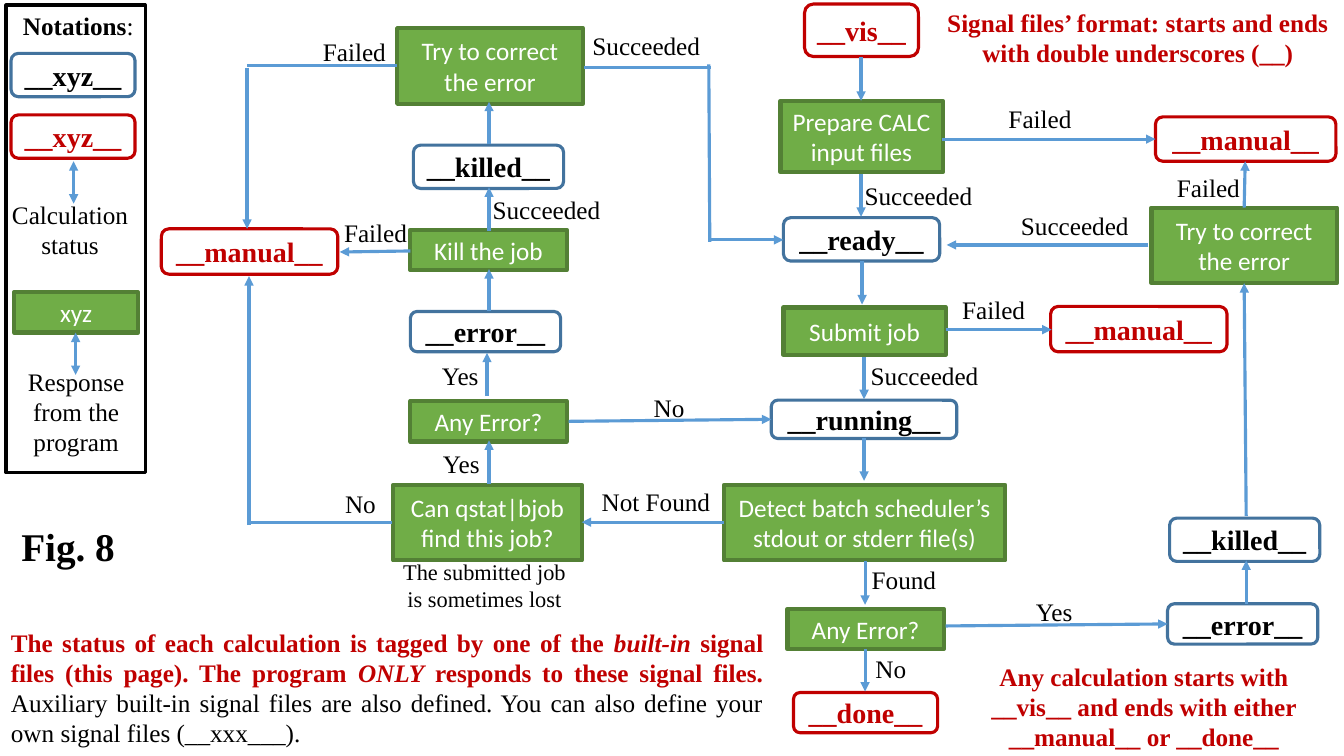
from pptx import Presentation
from pptx.dml.color import RGBColor
from pptx.enum.shapes import MSO_CONNECTOR, MSO_SHAPE
from pptx.enum.text import MSO_ANCHOR, MSO_AUTO_SIZE, PP_ALIGN
from pptx.oxml.ns import qn
from pptx.util import Inches, Pt
from lxml import etree

RECT, ROUND = MSO_SHAPE.RECTANGLE, MSO_SHAPE.ROUNDED_RECTANGLE
STRAIGHT = MSO_CONNECTOR.STRAIGHT
TOP, MIDDLE = MSO_ANCHOR.TOP, MSO_ANCHOR.MIDDLE
GROW = MSO_AUTO_SIZE.SHAPE_TO_FIT_TEXT
CENTER, JUSTIFY = PP_ALIGN.CENTER, PP_ALIGN.JUSTIFY

SERIF, SANS = "Times New Roman", "Calibri"
THEME = {
    "black": "000000", "white": "FFFFFF", "red": "C00000", "blue": "43739E",
    "green": "70AD47", "dark": "538035", "arrow": "5B9BD5",
    "note": 16, "body": 18, "tag": 20, "title": 28, "thin": 2.25, "thick": 3,
}
KINDS = {
    "state": (ROUND, "white", "blue", "thin", "black", "tag", SERIF, True),
    "end": (ROUND, "white", "red", "thin", "red", "tag", SERIF, True),
    "step": (RECT, "green", "dark", "thick", "white", "body", SANS, False),
}

deck = Presentation()
deck.slide_width, deck.slide_height = Inches(13.33), Inches(7.5)
slide = deck.slides.add_slide(deck.slide_layouts[6])
shapes = slide.shapes


def tint(name):
    return RGBColor.from_string(THEME[name])


def write(shape, runs, align=CENTER, **frame):
    for key, value in frame.items():
        setattr(shape.text_frame, key, value)
    para = shape.text_frame.paragraphs[0]
    para.alignment = align
    for text, color, size, face, bold, slant in runs:
        run = para.add_run()
        run.text = text
        look = {"name": face, "size": Pt(THEME[size]), "bold": bold, "italic": slant}
        for key, value in look.items():
            setattr(run.font, key, value)
        run.font.color.rgb = tint(color)


frame = shapes.add_shape(RECT, *map(Inches, (0.06, 0.05, 1.38, 4.64)))
frame.shadow.inherit = False
frame.fill.background()
frame.line.color.rgb = tint("black")
frame.line.width = Pt(THEME["thin"])
write(frame, [("Notations", "black", "body", SERIF, True, False),
              (":", "black", "body", SERIF, False, False)],
      vertical_anchor=TOP, word_wrap=True, margin_left=Inches(0.15))

nodes = [
    ("state", "__xyz__", 0.11, 0.53, 1.23, 0.43),
    ("end", "__xyz__", 0.11, 1.14, 1.23, 0.43),
    ("step", "xyz", 0.14, 2.9, 1.23, 0.4),
    ("step", "Try to correct the error", 3.94, 0.28, 1.84, 0.75),
    ("state", "__killed__", 4.1, 1.44, 1.49, 0.43),
    ("step", "Kill the job", 4.07, 2.28, 1.55, 0.4),
    ("end", "__manual__", 1.6, 2.27, 1.75, 0.45),
    ("state", "__error__", 4.07, 3.09, 1.49, 0.4),
    ("step", "Any Error?", 4.07, 3.98, 1.55, 0.4),
    ("step", "Can qstat|bjob find this job?", 3.9, 4.81, 1.87, 0.75),
    ("end", "__vis__", 7.98, 0.04, 1.13, 0.52),
    ("step", "Prepare CALC input files", 7.74, 1, 1.61, 0.71),
    ("state", "__ready__", 7.77, 2.16, 1.55, 0.43),
    ("step", "Submit job", 7.77, 3.05, 1.61, 0.47),
    ("state", "__running__", 7.65, 3.97, 1.84, 0.38),
    ("step", "Detect batch scheduler’s stdout or stderr file(s)", 7.18, 4.81, 2.79, 0.75),
    ("step", "Any Error?", 7.81, 6.04, 1.55, 0.4),
    ("end", "__done__", 7.87, 6.87, 1.43, 0.4),
    ("end", "__manual__", 11.46, 1.16, 1.79, 0.44),
    ("step", "Try to correct the error", 11.42, 2.06, 1.84, 0.75),
    ("end", "__manual__", 10.42, 3.04, 1.75, 0.45),
    ("state", "__killed__", 11.6, 5.14, 1.49, 0.43),
    ("state", "__error__", 11.58, 5.99, 1.49, 0.4),
]
for kind, text, *place in nodes:
    form, fill, edge, width, color, size, face, bold = KINDS[kind]
    node = shapes.add_shape(form, *map(Inches, place))
    node.shadow.inherit = False
    node.fill.solid()
    node.fill.fore_color.rgb = tint(fill)
    node.line.color.rgb = tint(edge)
    node.line.width = Pt(THEME[width])
    write(node, [(text, color, size, face, bold, False)],
          vertical_anchor=MIDDLE, word_wrap=True)

plain, single, double = (), ("tailEnd",), ("headEnd", "tailEnd")
lines = [
    (double, 0.73, 1.6, 0.73, 2.02),
    (double, 0.75, 3.3, 0.75, 3.72),
    (single, 4.85, 4.8, 4.85, 4.37),
    (single, 4.83, 3.93, 4.83, 3.5),
    (single, 4.85, 3.09, 4.85, 2.67),
    (single, 4.85, 2.29, 4.85, 1.86),
    (single, 4.85, 1.43, 4.85, 1.01),
    (single, 4.07, 2.49, 3.37, 2.5),
    (plain, 3.94, 0.65, 2.45, 0.65),
    (single, 2.45, 0.67, 2.45, 2.27),
    (plain, 3.89, 5.18, 2.47, 5.18),
    (single, 2.47, 5.21, 2.47, 2.74),
    (plain, 5.79, 0.67, 7.05, 0.67),
    (plain, 7.03, 0.64, 7.04, 2.4),
    (single, 7.03, 2.38, 7.77, 2.38),
    (single, 5.64, 4.18, 7.65, 4.16),
    (single, 7.18, 5.18, 5.77, 5.18),
    (single, 8.54, 0.57, 8.54, 1),
    (single, 8.54, 1.73, 8.54, 2.15),
    (single, 8.55, 2.59, 8.55, 3.02),
    (single, 8.57, 3.54, 8.57, 3.96),
    (single, 8.57, 4.35, 8.57, 4.77),
    (single, 8.58, 5.57, 8.58, 6),
    (single, 8.58, 6.44, 8.58, 6.86),
    (single, 9.34, 1.38, 11.46, 1.38),
    (single, 11.39, 2.43, 9.39, 2.43),
    (single, 9.38, 3.27, 10.43, 3.27),
    (single, 9.38, 6.21, 11.58, 6.19),
    (single, 12.36, 5.99, 12.36, 5.56),
    (single, 12.36, 5.12, 12.34, 2.81),
    (single, 12.34, 2.06, 12.35, 1.6),
]
for ends, *place in lines:
    line = shapes.add_connector(STRAIGHT, *map(Inches, place))
    line.line.color.rgb = tint("arrow")
    line.line.width = Pt(THEME["thin"])
    props = line.element.spPr
    for end in ends:
        etree.SubElement(props.find(qn("a:ln")), qn("a:" + end), type="triangle")
    etree.SubElement(props, qn("a:effectLst"))

labels = {
    "Failed": (0.83, [(3.1, 0.31), (3.31, 2.11), (9.9, 0.98), (9.44, 2.87), (11.57, 1.66)]),
    "Succeeded": (1.28, [(5.77, 0.25), (4.78, 1.88), (8.47, 1.74), (8.53, 3.53), (10.02, 2.04)]),
    "Yes": (0.57, [(4.28, 3.53), (4.29, 4.4), (10.17, 5.87)]),
    "No": (0.51, [(3.32, 4.8), (6.38, 3.84), (8.58, 6.43)]),
    "Found": (0.85, [(8.54, 5.55)]),
    "Not Found": (1.29, [(5.86, 4.78)]),
}
for text, (width, spots) in labels.items():
    for left, top in spots:
        label = shapes.add_textbox(*map(Inches, (left, top, width, 0.4)))
        write(label, [(text, "black", "body", SERIF, False, False)],
              word_wrap=False, auto_size=GROW)

notes = [
    ("Calculation status", "black", "body", False, 0, 1.93, 1.39, 0.71),
    ("Response from the program", "black", "body", False, 0.01, 3.58, 1.49, 1.01),
    ("Fig. 8", "black", "title", True, 0.08, 5.13, 1.19, 0.57),
    ("The submitted job is sometimes lost", "black", "note", False, 3.84, 5.49, 1.93, 0.64),
    ("Signal files’ format: starts and ends with double underscores (__)",
     "red", "body", True, 9.13, 0.02, 4.31, 0.71),
    ("Any calculation starts with __vis__ and ends with either __manual__ or __done__",
     "red", "body", True, 9.49, 6.51, 3.71, 1.01),
]
for text, color, size, bold, *place in notes:
    note = shapes.add_textbox(*map(Inches, place))
    write(note, [(text, color, size, SERIF, bold, False)], word_wrap=True, auto_size=GROW)

parts = [
    ("The status of each calculation is tagged by one of the ", "red", True, False),
    ("built-in", "red", True, True),
    (" signal files (this page). The program ", "red", True, False),
    ("ONLY", "red", True, True),
    (" responds to these signal files. ", "red", True, False),
    ("Auxiliary built-in signal files are also defined. You can also define "
     "your own signal files (__xxx___).", "black", False, False),
]
story = shapes.add_textbox(*map(Inches, (0.01, 6.17, 7.66, 1.31)))
write(story, [(text, color, "body", SERIF, bold, slant) for text, color, bold, slant in parts],
      JUSTIFY, word_wrap=True, auto_size=GROW)

deck.save("out.pptx")
